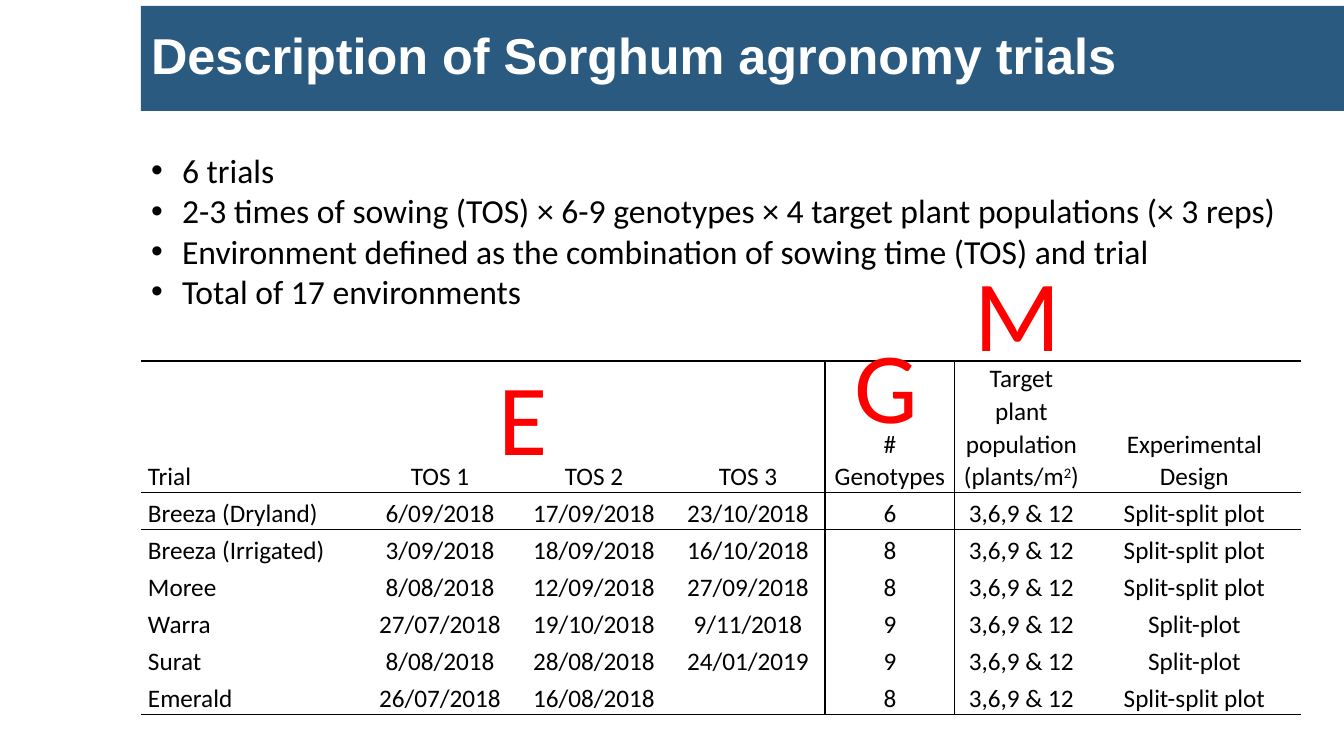
"""Build the slide describing the sorghum agronomy trials."""
from lxml import etree
from pptx import Presentation
from pptx import util as u
from pptx.dml.color import RGBColor
from pptx.enum import shapes, text
from pptx.oxml import ns

PX = 914400 / 100.8
THEME = {
    "bar": RGBColor.from_string("2A5A80"),
    "line": "000000",
    "title": ("Arial", 36, "FFFFFF", True),
    "list": ("Calibri", 24, "000000", False),
    "cell": ("Calibri", 18, "000000", False),
    "mark": ("Calibri", 72, "FF0000", False),
}
BULLETS = [
    "6 trials",
    "2-3 times of sowing (TOS) × 6-9 genotypes × 4 target plant populations (× 3 reps)",
    "Environment defined as the combination of sowing time (TOS) and trial",
    "Total of 17 environments",
]
POP = "3,6,9 & 12"
ROWS = [
    ["Trial", "TOS 1", "TOS 2", "TOS 3", "# Genotypes",
     "Target plant population (plants/m", "Experimental Design"],
    ["Breeza (Dryland)", "6/09/2018", "17/09/2018", "23/10/2018", "6", POP, "Split-split plot"],
    ["Breeza (Irrigated)", "3/09/2018", "18/09/2018", "16/10/2018", "8", POP, "Split-split plot"],
    ["Moree", "8/08/2018", "12/09/2018", "27/09/2018", "8", POP, "Split-split plot"],
    ["Warra", "27/07/2018", "19/10/2018", "9/11/2018", "9", POP, "Split-plot"],
    ["Surat", "8/08/2018", "28/08/2018", "24/01/2019", "9", POP, "Split-plot"],
    ["Emerald", "26/07/2018", "16/08/2018", "", "8", POP, "Split-split plot"],
]
COLS = [222, 154, 154, 154, 130, 133, 213]
MARKS = [("E", 489, 350), ("G", 845, 318), ("M", 965, 246)]


def px(*vals):
    return [u.Emu(round(v * PX)) for v in vals]


def write(para, words, kind):
    run = para.add_run()
    run.text = words
    name, size, color, bold = THEME[kind]
    for key, val in {"name": name, "size": u.Pt(size), "bold": bold}.items():
        setattr(run.font, key, val)
    run.font.color.rgb = RGBColor.from_string(color)
    return run


deck = Presentation()
deck.slide_width, deck.slide_height = px(1344, 756)
slide = deck.slides.add_slide(deck.slide_layouts[1])
items = slide.shapes

bar = items.add_shape(shapes.MSO_SHAPE.RECTANGLE, *px(141, 6, 1203, 105))
bar.shadow.inherit = False
bar.fill.solid()
bar.fill.fore_color.rgb = THEME["bar"]
bar.line.fill.background()
items.title._element.addprevious(bar._element)

body = slide.placeholders[1]
for hold, box, anchor in [
    (items.title, (141, 6, 1189, 105), text.MSO_ANCHOR.MIDDLE),
    (body, (141, 145, 1159, 244), text.MSO_ANCHOR.TOP),
]:
    for key, val in zip(("left", "top", "width", "height"), px(*box)):
        setattr(hold, key, val)
    frame = hold.text_frame
    frame.auto_size = text.MSO_AUTO_SIZE.NONE
    frame.vertical_anchor = anchor

head = items.title.text_frame.paragraphs[0]
head.alignment = text.PP_ALIGN.LEFT
head.line_spacing = 0.9
write(head, "Description of Sorghum agronomy trials", "title")

for num, words in enumerate(BULLETS):
    para = body.text_frame.add_paragraph() if num else body.text_frame.paragraphs[0]
    para.space_before = u.Pt(0)
    write(para, words, "list")
    dent = px(31)[0]
    props = para._p.get_or_add_pPr()
    props.set("marL", str(dent))
    props.set("indent", str(-dent))

grid = items.add_table(len(ROWS), len(COLS), *px(141, 361, sum(COLS), 349)).table
grid.first_row = grid.horz_banding = False
grid._tbl.tblPr.find(ns.qn("a:tableStyleId")).text = "{2D5ABB26-0587-4C30-8999-92F81FD0307C}"
for col, wide in zip(grid.columns, px(*COLS)):
    col.width = wide
for num, row in enumerate(grid.rows):
    row.height = px(37 if num else 127)[0]

side = px(7)[0]
form = {"margin_left": side, "margin_right": side, "margin_top": 0,
        "margin_bottom": 0, "vertical_anchor": text.MSO_ANCHOR.BOTTOM}
last = len(ROWS) - 1
for r, row in enumerate(ROWS):
    for c, words in enumerate(row):
        cell = grid.cell(r, c)
        for key, val in form.items():
            setattr(cell, key, val)
        para = cell.text_frame.paragraphs[0]
        para.alignment = text.PP_ALIGN.CENTER if c else text.PP_ALIGN.LEFT
        para.line_spacing = 1.07
        para.space_after = u.Pt(8)
        if words:
            write(para, words, "cell")
        if (r, c) == (0, 5):
            power = write(para, "2", "cell")
            power._r.get_or_add_rPr().set("baseline", "30000")
            write(para, ")", "cell")
        props = cell._tc.get_or_add_tcPr()
        edges = {"L": c == 4, "R": c == 3, "T": r < 2, "B": r in (0, last)}
        for edge, shown in edges.items():
            if shown:
                line = etree.SubElement(props, ns.qn("a:ln" + edge), w=str(u.Pt(1)))
                fill = etree.SubElement(line, ns.qn("a:solidFill"))
                etree.SubElement(fill, ns.qn("a:srgbClr"), val=THEME["line"])
        cell.fill.background()

for words, left, top in MARKS:
    mark = items.add_textbox(*px(left, top, 71, 132)).text_frame
    mark.word_wrap = True
    write(mark.paragraphs[0], words, "mark")

deck.save("out.pptx")
